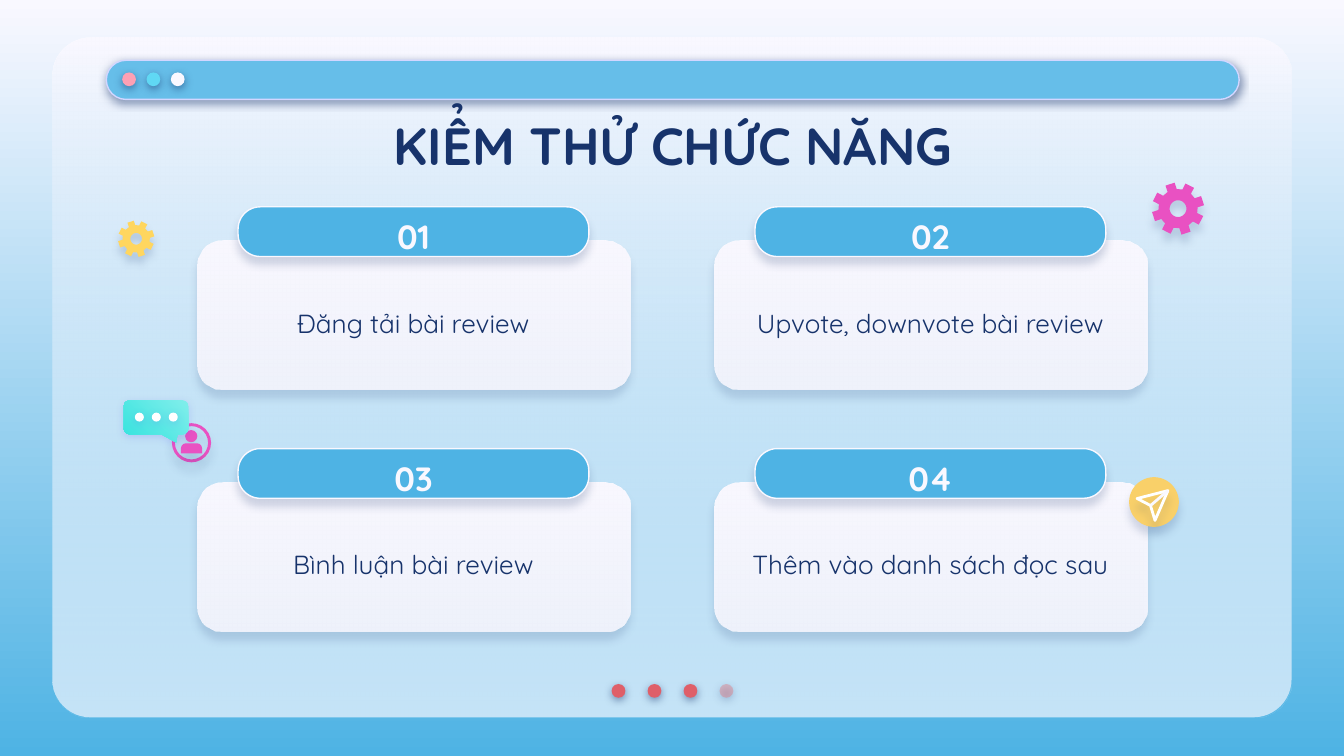
import math
from pptx import Presentation
from pptx import util as u
from pptx.dml.color import RGBColor
from pptx.enum import shapes, text
from pptx.oxml import ns, xmlchemy as xc

Cm, Pt = u.Cm, u.Pt
KIND = shapes.MSO_SHAPE
NAVY = RGBColor(0x17, 0x33, 0x6B)
PALE = RGBColor(0xF9, 0xF8, 0xFF)
BLUE = RGBColor(0x4E, 0xB3, 0xE4)
SKY = RGBColor(0x66, 0xBE, 0xE9)
LILAC = RGBColor(0xD2, 0xD6, 0xFF)
RED = RGBColor(0xDF, 0x5F, 0x69)
ROSE = RGBColor(0xE2, 0x7B, 0x83)
PINK = RGBColor(0xFD, 0xA0, 0xB4)
CYAN = RGBColor(0x60, 0xD8, 0xF4)
PLUM = RGBColor(0xE9, 0x51, 0xC2)
GOLD = RGBColor(0xFF, 0xD6, 0x5F)
AMBER = RGBColor(0xF9, 0xD0, 0x69)
MINT = RGBColor(0x81, 0xEE, 0xEB)
TEAL = RGBColor(0x3A, 0xE4, 0xDF)
VIOLET = RGBColor(0x53, 0x52, 0xEE)
WHITE = RGBColor(255, 255, 255)

DEEP = (NAVY, 50, 4.5, 1.5)
SOFT = (NAVY, 16, 4.5, 4.5)
NEAR = (NAVY, 18, 4.5, 3.8)
GLOW = (VIOLET, 18, 4.5, 1.5)
HEAD = {"size": Pt(28), "bold": True, "name": "Quicksand"}
NUM = {"size": Pt(18), "bold": True, "name": "Quicksand"}
BODY = {"size": Pt(14), "bold": False, "name": "Quicksand"}
FRAME = {"word_wrap": True, "vertical_anchor": text.MSO_ANCHOR.MIDDLE,
         "auto_size": text.MSO_AUTO_SIZE.NONE, "margin_left": 0,
         "margin_right": 0, "margin_top": 0, "margin_bottom": 0}


def assign(item, vals):
    for key, val in vals.items():
        setattr(item, key, val)


def add_node(base, tag, **vals):
    node = xc.OxmlElement(tag)
    for key, val in vals.items():
        node.set(key, str(val))
    base.append(node)
    return node


def shade(shape, cast):
    shape.shadow.inherit = False
    if cast:
        tint, part, blur, dist = cast
        base = shape._element.spPr.find(ns.qn("a:effectLst"))
        out = add_node(base, "a:outerShdw", blurRad=Pt(blur), dist=Pt(dist),
                       dir=5400000, algn="bl", rotWithShape=0)
        hue = add_node(out, "a:srgbClr", val=tint)
        add_node(hue, "a:alpha", val=part * 1000)


def blend(fill, tints, angle=270):
    fill.gradient()
    fill.gradient_angle = angle
    for stop, tint in zip(fill.gradient_stops, tints):
        stop.color.rgb = tint


def paint(shape, fill=None, cast=None, line=None, width=0.75, alpha=100, angle=270):
    if isinstance(fill, tuple) and not isinstance(fill, RGBColor):
        blend(shape.fill, fill, angle)
    elif fill is not None:
        shape.fill.solid()
        shape.fill.fore_color.rgb = fill
    else:
        shape.fill.background()
    if alpha < 100:
        hues = shape._element.spPr.findall(".//" + ns.qn("a:srgbClr"))
        add_node(hues[-1], "a:alpha", val=alpha * 1000)
    if line is None:
        shape.line.fill.background()
    else:
        shape.line.color.rgb = line
        shape.line.width = Pt(width)
    shade(shape, cast)
    return shape


def draw(slide, kind, box, *args, adj=(), **look):
    shape = slide.shapes.add_shape(kind, *map(Cm, box))
    for i, val in enumerate(adj):
        shape.adjustments[i] = val
    return paint(shape, *args, **look)


def outline(slide, loops):
    pen = None
    for loop in loops:
        pts = [(Cm(x), Cm(y)) for x, y in loop]
        if pen is None:
            pen = slide.shapes.build_freeform(*pts[0])
        else:
            pen.move_to(*pts[0])
        pen.add_line_segments(pts[1:], close=True)
    return pen.convert_to_shape()


def write(shape, words, style, tint):
    frame = shape.text_frame
    frame.text = words
    assign(frame, FRAME)
    par = frame.paragraphs[0]
    par.alignment = text.PP_ALIGN.CENTER
    assign(par.runs[0].font, style)
    par.runs[0].font.color.rgb = tint


def label(slide, box, words, style, tint):
    write(slide.shapes.add_textbox(*map(Cm, box)), words, style, tint)


def dots(slide, box, step, tints, cast):
    x, y, w, h = box
    return [draw(slide, KIND.OVAL, (x + i * step, y, w, h), tint, cast)
            for i, tint in enumerate(tints)]


def panel(slide, box):
    x, y, w, h = box
    draw(slide, KIND.ROUNDED_RECTANGLE, box, PALE, adj=[0.056])
    draw(slide, KIND.ROUNDED_RECTANGLE, box, (PALE, SKY), alpha=35, adj=[0.056])
    marks = dots(slide, (x + 10.57, y + 12.22, 0.26, 0.26), 0.68, [RED] * 3 + [ROSE], DEEP)
    hue = marks[-1]._element.spPr.find(".//" + ns.qn("a:srgbClr"))
    add_node(hue, "a:alpha", val=44000)
    draw(slide, KIND.ROUNDED_RECTANGLE, (x + 1.02, y + 0.43, w - 2.01, 0.74),
         SKY, DEEP, LILAC, adj=[0.5])
    dots(slide, (x + 1.32, y + 0.66, 0.26, 0.26), 0.46, [PINK, CYAN, PALE], DEEP)


def heading(slide, box, words):
    title = slide.shapes.title
    title._element.getparent().append(title._element)
    assign(title, dict(zip(("left", "top", "width", "height"), map(Cm, box))))
    write(title, words, HEAD, NAVY)


def card(slide, box, num, words):
    x, y, w, h = box
    draw(slide, KIND.ROUNDED_RECTANGLE, box, (PALE, PALE), SOFT, alpha=87, adj=[0.167])
    draw(slide, KIND.ROUNDED_RECTANGLE, (x + 0.77, y - 0.64, w - 1.55, 0.94),
         BLUE, NEAR, PALE, adj=[0.447])
    label(slide, (x + 0.95, y - 0.46, w - 1.91, 0.74), num, NUM, PALE)
    label(slide, (x + 0.25, y + 0.51, w - 0.51, 2.08), words, BODY, NAVY)


def gear(slide, box, tint, cast):
    x, y, w, h = box
    r = w / 2

    def spot(part, turn):
        a = math.radians(turn)
        return x + r + r * part * math.cos(a), y + r + r * part * math.sin(a)

    tooth = [(0.75, -14), (1, -10.5), (1, 10.5), (0.75, 14)]
    rim = [spot(part, 45 * i - 18 + off - 45) for i in range(8) for part, off in tooth]
    hole = [spot(0.32, -10 * i) for i in range(36)]
    paint(outline(slide, [rim, hole]), tint, cast)


def plane(slide, box):
    x, y, w, h = box
    draw(slide, KIND.OVAL, box, AMBER, SOFT)
    tail, nose, wing, fold = [(x + w * a, y + h * b) for a, b in
                              ((0.16, 0.43), (0.78, 0.27), (0.52, 0.87), (0.43, 0.57))]
    paint(outline(slide, [[tail, nose, wing, fold]]), None, SOFT, WHITE, 1.5)
    crease = slide.shapes.add_connector(shapes.MSO_CONNECTOR.STRAIGHT,
                                        *map(Cm, nose + fold))
    crease.line.color.rgb = PALE
    crease.line.width = Pt(1.5)
    add_node(crease._element.spPr, "a:effectLst")


def user(slide, box):
    x, y, w, h = box
    draw(slide, KIND.DONUT, box, PLUM, SOFT, adj=[0.075])
    draw(slide, KIND.OVAL, (x + 0.25, y + 0.13, 0.23, 0.23), PLUM, SOFT)
    draw(slide, KIND.ROUND_2_SAME_RECTANGLE, (x + 0.17, y + 0.38, 0.4, 0.19),
         PLUM, SOFT, adj=[0.5, 0])


def bubble(slide, box):
    x, y, w, h = box
    draw(slide, KIND.ROUNDED_RECTANGULAR_CALLOUT, box, (MINT, TEAL), GLOW,
         angle=225, adj=[0.31, 0.74, 0.167])
    dots(slide, (x + 0.21, y + 0.23, 0.17, 0.17), 0.32, [WHITE] * 3, GLOW)


def main():
    deck = Presentation()
    deck.slide_width, deck.slide_height = Cm(25.4), Cm(14.29)
    slide = deck.slides.add_slide(deck.slide_layouts[5])
    blend(slide.background.fill, (PALE, BLUE))
    panel(slide, (0.99, 0.71, 23.42, 12.85))
    heading(slide, (2.01, 1.93, 21.41, 1.6), "KIỂM THỬ CHỨC NĂNG")
    items = ("Đăng tải bài review", "Upvote, downvote bài review",
             "Bình luận bài review", "Thêm vào danh sách đọc sau")
    for i, words in enumerate(items):
        row, col = divmod(i, 2)
        card(slide, (3.73 + 9.77 * col, 4.55 + 4.57 * row, 8.18, 2.82),
             f"{i + 1:02}", words)
    gear(slide, (21.77, 3.45, 0.99, 0.99), PLUM, SOFT)
    gear(slide, (2.23, 4.17, 0.69, 0.69), GOLD, NEAR)
    plane(slide, (21.34, 9.02, 0.94, 0.94))
    user(slide, (3.25, 8, 0.74, 0.74))
    bubble(slide, (2.34, 7.57, 1.22, 0.64))
    deck.save("out.pptx")


if __name__ == "__main__":
    main()
